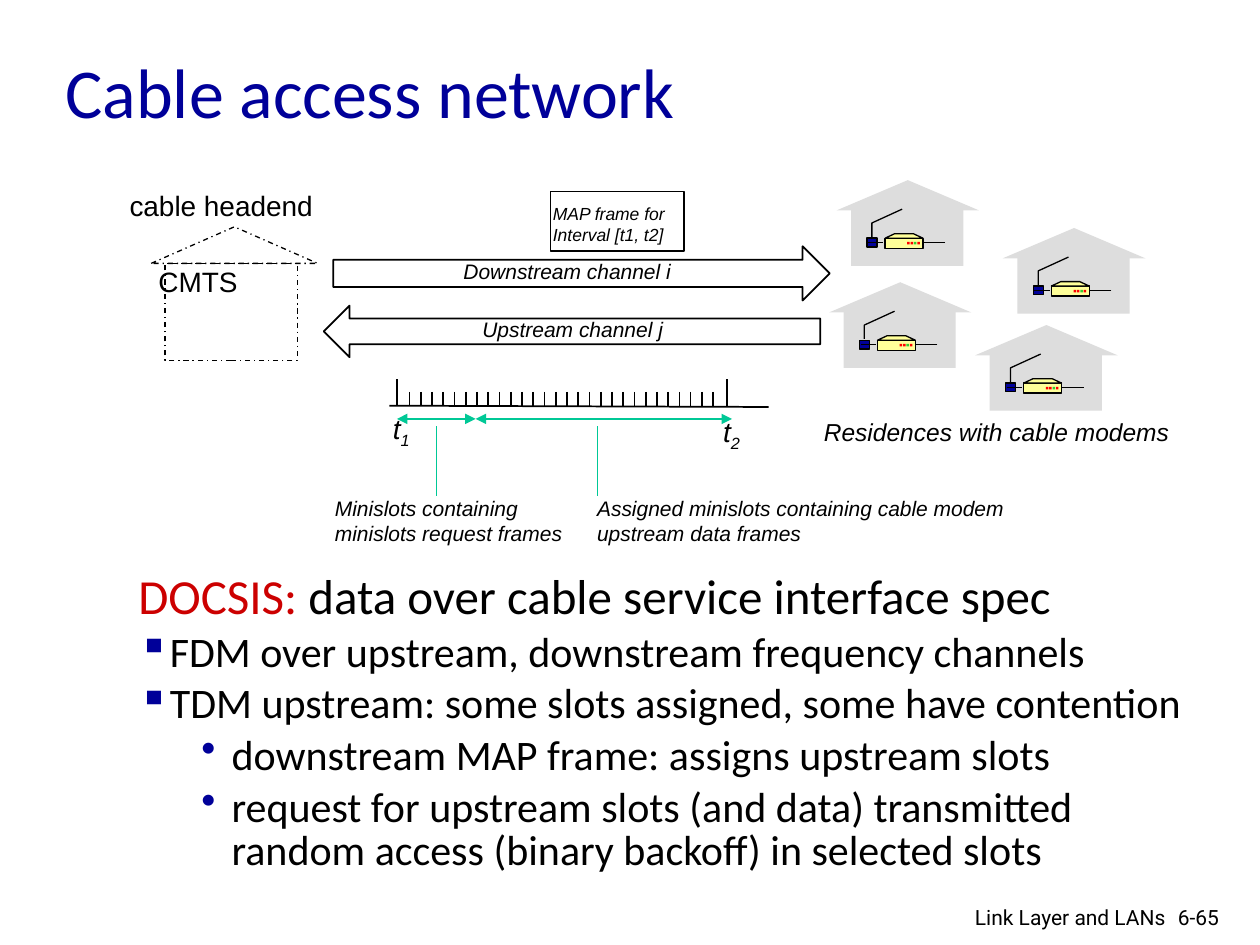
import pptx
import pptx.util
from lxml import etree
from pptx.dml.color import RGBColor
from pptx.enum.dml import MSO_LINE
from pptx.enum.shapes import MSO_CONNECTOR, MSO_SHAPE
from pptx.enum.text import MSO_ANCHOR, PP_ALIGN
from pptx.oxml.ns import qn

BLACK = RGBColor(0x00, 0x00, 0x00)
NAVY = RGBColor(0x00, 0x00, 0x99)
CRIMSON = RGBColor(0xCC, 0x00, 0x00)
TEAL = RGBColor(0x00, 0xC8, 0x96)
GRAY = RGBColor(0xDD, 0xDD, 0xDD)
CREAM = RGBColor(0xFF, 0xFF, 0x99)
RED = RGBColor(0xFF, 0x00, 0x00)
GREEN = RGBColor(0x33, 0xCC, 0x33)

COLS, ROWS = 100, 75
UNIT = pptx.util.Inches(0.1)  # one grid column or row
TICKS = 28
HOUSES = [(66.4, 14.3), (79.6, 18.1), (77.4, 25.8), (65.8, 22.4)]
BULLETS = [
    ("▪", 0, "FDM over upstream, downstream frequency channels"),
    ("▪", 0, "TDM upstream: some slots assigned, some have contention"),
    ("•", 1, "downstream MAP frame: assigns upstream slots"),
    ("•", 1, "request for upstream slots (and data) transmitted "
             "random access (binary backoff) in selected slots"),
]


def grid(*lengths):
    return [round(n * UNIT) for n in lengths]


def style(sp, fill=None, line=None, width=0.75, dash=None):
    sp.shadow.inherit = False
    if fill is None:
        sp.fill.background()
    else:
        sp.fill.solid()
        sp.fill.fore_color.rgb = fill
    if line is None:
        sp.line.fill.background()
    else:
        sp.line.color.rgb = line
        sp.line.width = pptx.util.Pt(width)
        if dash:
            sp.line.dash_style = dash


def add_shape(s, kind, x, y, w, h, **look):
    style(s.shapes.add_shape(kind, *grid(x, y, w, h)), **look)


def add_outline(s, points, close, **look):
    points = [grid(*pt) for pt in points]
    builder = s.shapes.build_freeform(*points[0])
    builder.add_line_segments(points[1:], close=close)
    style(builder.convert_to_shape(), **look)


def add_line(s, x1, y1, x2, y2, color=BLACK, width=0.75, arrows=False):
    sp = s.shapes.add_connector(MSO_CONNECTOR.STRAIGHT, *grid(x1, y1, x2, y2))
    sp.line.color.rgb = color
    sp.line.width = pptx.util.Pt(width)
    if arrows:
        ln = sp.line._get_or_add_ln()
        for end in ("a:headEnd", "a:tailEnd"):
            etree.SubElement(ln, qn(end), type="triangle")
    etree.SubElement(sp._element.spPr, qn("a:effectLst"))


def add_run(p, text, size=12, font="Arial", color=BLACK, italic=False, baseline=None):
    r = p.add_run()
    r.text = text
    r.font.size = pptx.util.Pt(size)
    r.font.name = font
    r.font.color.rgb = color
    r.font.italic = italic
    if baseline:
        r._r.get_or_add_rPr().set("baseline", str(baseline * 1000))


def add_text(s, x, y, w, h, *lines, wrap=False, align=None, spacing=None, **font):
    """Place a text box with one paragraph per line and return its last paragraph."""
    tf = s.shapes.add_textbox(*grid(x, y, w, h)).text_frame
    tf.word_wrap = wrap
    for i, line in enumerate(lines):
        p = tf.paragraphs[0] if i == 0 else tf.add_paragraph()
        p.alignment = align
        p.line_spacing = spacing
        add_run(p, line, **font)
    return p


def add_title(s, x, y, w, h):
    sp = s.shapes.title
    sp.left, sp.top, sp.width, sp.height = grid(x, y, w, h)
    sp.text_frame.vertical_anchor = MSO_ANCHOR.MIDDLE
    p = sp.text_frame.paragraphs[0]
    p.alignment = PP_ALIGN.LEFT
    add_run(p, "Cable access network", size=40, font="Calibri", color=NAVY)


def add_headend(s, x, y, w, h):
    outline = dict(line=BLACK, dash=MSO_LINE.DASH_DOT)
    add_shape(s, MSO_SHAPE.RECTANGLE, x + 6.1, y + 5.9, w - 10.6, h - 5.9, **outline)
    add_text(s, x, y, w, 3.1, "cable headend", wrap=True, size=16,
             align=PP_ALIGN.CENTER, spacing=0.8)
    add_text(s, x + 4.6, y + 5.5, 10.4, 3.7, "CMTS", wrap=True, size=16)
    add_shape(s, MSO_SHAPE.ISOSCELES_TRIANGLE, x + 5, y + 3, w - 7.9, 2.9, **outline)


def add_channels(s, x, y, w, h):
    """MAP frame above the downstream and upstream arrows."""
    add_shape(s, MSO_SHAPE.RECTANGLE, x + 18, y, 10.6, 4.7, line=BLACK, width=1)
    add_text(s, x + 17.2, y + 0.4, 11.3, 4.4, "MAP frame for", "Interval [t1, t2]",
             spacing=pptx.util.Pt(12), size=10, italic=True)
    arrow = dict(line=BLACK, width=1)
    add_shape(s, MSO_SHAPE.RIGHT_ARROW, x + w - 39.4, y + 4.35, 39.4, 4.3, **arrow)
    add_shape(s, MSO_SHAPE.LEFT_ARROW, x, y + h - 4.1, 39.4, 4.1, **arrow)
    add_text(s, x + 10.1, y + 4.8, 19.1, 3, "Downstream channel i", italic=True)
    add_text(s, x + 11.6, y + 9.4, 16.9, 3, "Upstream channel j", italic=True)


def add_timeline(s, x, y, w, h):
    """Minislot scale with its two intervals and their captions."""
    axis = y + 2.1
    start, split, end = x + 0.6, x + 6.85, x + 26.8
    add_line(s, x, axis, x + w, axis + 0.1, width=1)
    for tick in (start, end):
        add_line(s, tick, y, tick, axis, width=1)
    gap = 24.1 / (TICKS - 1)
    for i in range(TICKS):
        tick = start + 1 + i * gap
        add_line(s, tick, axis - 1.1, tick, axis, width=1)

    for left, top, sub in ((x - 0.7, axis, "1"), (x + 25.5, axis + 0.2, "2")):
        p = add_text(s, left, top, 3.9, 3.7, "t", size=16, italic=True)
        add_run(p, sub, size=16, italic=True, baseline=-25)

    for left, right in ((start, split), (split, end + 0.4)):
        add_line(s, left, axis + 1.05, right, axis + 1.05, color=TEAL, arrows=True)
    for stem in (x + 3.75, x + 16.55):
        add_line(s, stem, axis + 1.65, stem, axis + 7.2, color=TEAL)

    caption = y + h - 5
    add_text(s, x + 15.5, caption, 35.1, 5, "Assigned minislots containing cable modem",
             "upstream data frames", italic=True)
    add_text(s, x - 5.3, caption, 20.7, 5, "Minislots containing",
             "minislots request frames", italic=True)


def add_house(s, x, y, w, h):
    """Gray house holding a wall jack and a cable modem."""
    add_shape(s, MSO_SHAPE.ISOSCELES_TRIANGLE, x, y, w, 2.4, fill=GRAY)
    add_shape(s, MSO_SHAPE.RECTANGLE, x + 1.15, y + 2.1, 8.9, h - 2.1, fill=GRAY)
    wire = y + 4.95
    add_line(s, x + 8.6, wire, x + 6.8, wire)

    left, right, top = x + 3.85, x + 6.85, y + 4.6
    add_shape(s, MSO_SHAPE.RECTANGLE, left, top, 3, 0.8, fill=CREAM, line=BLACK)
    for i, light in enumerate((RED, RED, GREEN, RED)):
        add_shape(s, MSO_SHAPE.RECTANGLE, x + 5.6 + i * 0.27, y + 4.9, 0.2, 0.2, fill=light)
    add_outline(s, [(right, top), (right - 0.75, top - 0.35),
                    (left + 0.75, top - 0.35), (left, top)],
                True, fill=CREAM, line=BLACK)

    add_shape(s, MSO_SHAPE.RECTANGLE, x + 2.4, top, 0.8, 0.7, fill=NAVY, line=BLACK)
    add_outline(s, [(x + 2.8, y + 4.5), (x + 2.8, y + 3.4), (x + 5.2, y + 2.3)],
                False, line=BLACK)
    add_line(s, x + 2.5, wire, x + 3.7, wire)


def add_docsis(s, x, y, w, h):
    p = add_text(s, x, y, w, h, "DOCSIS: ", wrap=True, spacing=0.85,
                 size=28, font="Calibri", color=CRIMSON)
    add_run(p, "data over cable service interface spec", size=28, font="Calibri")
    tf = s.shapes[-1].text_frame
    for mark, level, text in BULLETS:
        p = tf.add_paragraph()
        p.level = level
        p.line_spacing = 0.85
        p.space_before = pptx.util.Pt(5)
        indent = (2.5, 2.4)[level]
        pPr = p._p.get_or_add_pPr()
        pPr.set("marL", str(grid(indent + 5 * level)[0]))
        pPr.set("indent", str(grid(-indent)[0]))
        color = etree.SubElement(pPr, qn("a:buClr"))
        etree.SubElement(color, qn("a:srgbClr"), val=str(NAVY))
        etree.SubElement(pPr, qn("a:buChar"), char=mark)
        add_run(p, text, size=24, font="Calibri")


def add_footer(s, x, y, w, h):
    add_text(s, x + w - 6, y, 6, h, "6-65", wrap=True, font="Roboto")
    add_text(s, x, y, w - 5, h, "Link Layer and LANs", wrap=True,
             align=PP_ALIGN.RIGHT, font="Roboto")


def main():
    prs = pptx.Presentation()
    prs.slide_width, prs.slide_height = grid(COLS, ROWS)
    s = prs.slides.add_slide(prs.slide_layouts[5])
    add_title(s, 4.2, 2.6, 61.5, 9.1)
    add_headend(s, 7, 15, 21.1, 13.6)
    add_channels(s, 25.7, 15.2, 40.15, 13.15)
    add_timeline(s, 30.9, 30.1, 30.1, 13.7)
    for x, y in HOUSES:
        add_house(s, x, y, 11.3, 6.8)
    add_text(s, 64.4, 32.6, 30.1, 3.4, "Residences with cable modems", size=14, italic=True)
    add_docsis(s, 10, 45.1, 85.7, 25)
    add_footer(s, 69.7, 71.3, 28.8, 3)
    prs.save("out.pptx")


if __name__ == "__main__":
    main()
